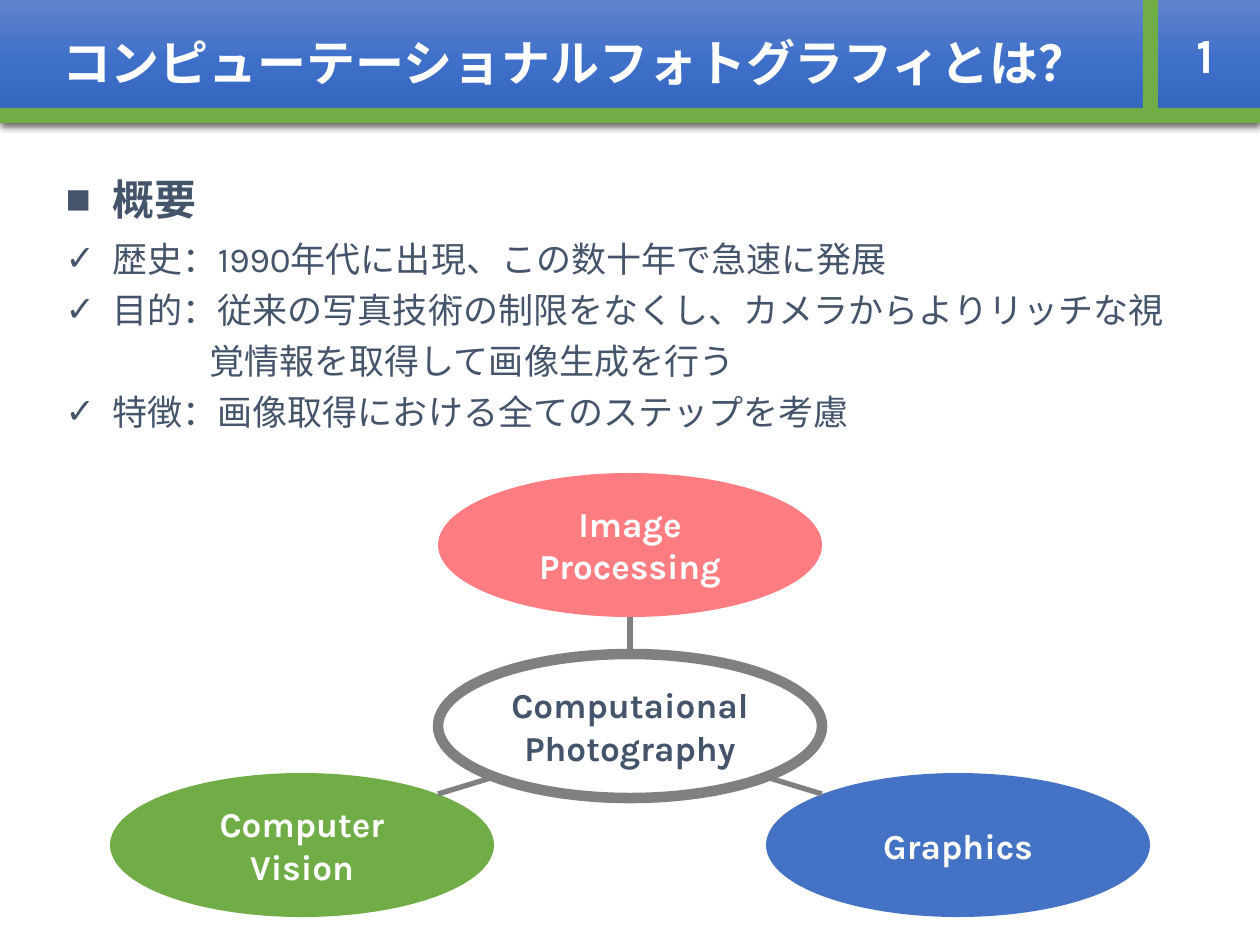
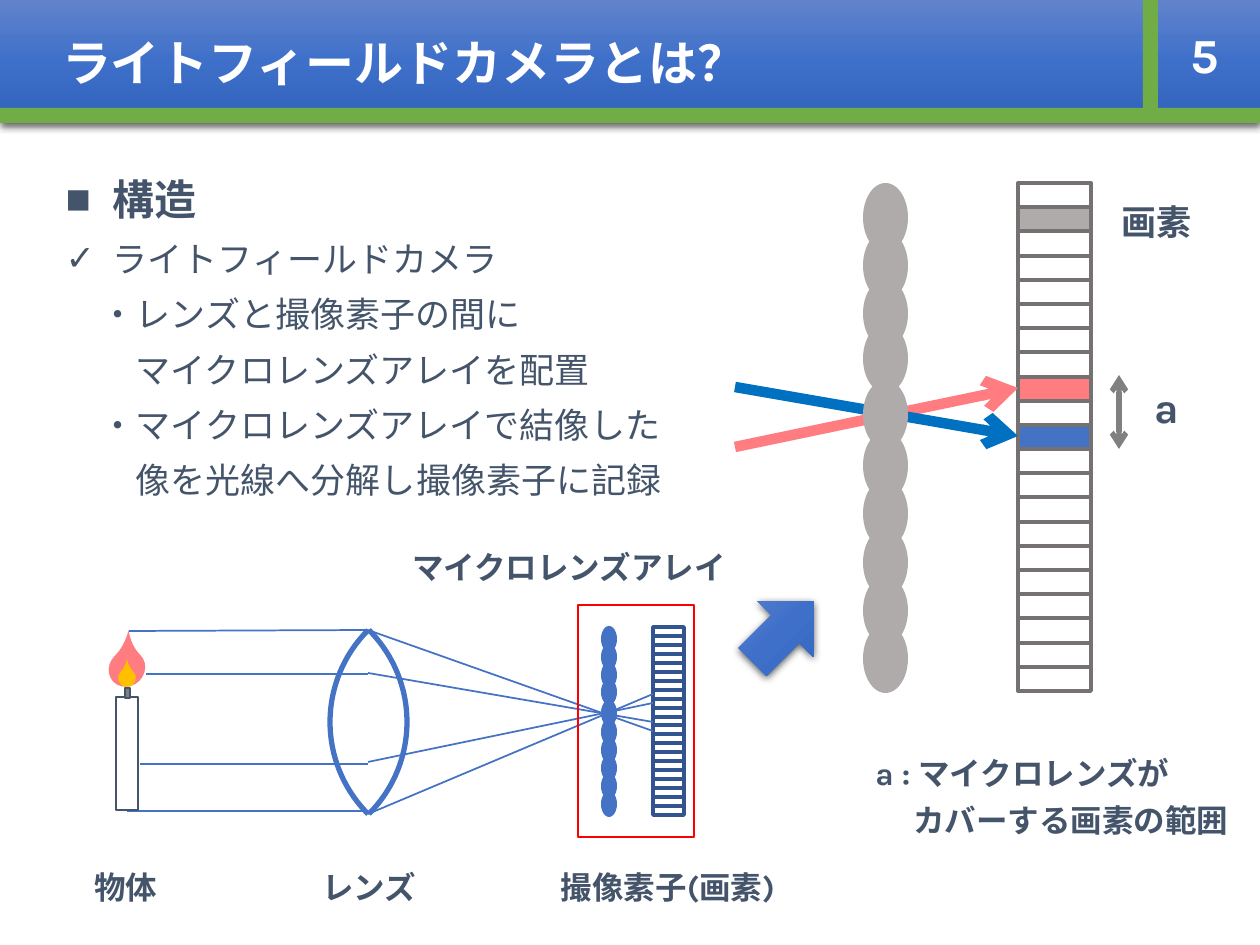
from dataclasses import dataclass

from lxml import etree
from pptx import Presentation
from pptx.dml.color import RGBColor
from pptx.enum.shapes import MSO_CONNECTOR, MSO_SHAPE
from pptx.enum.text import MSO_ANCHOR, MSO_AUTO_SIZE, PP_ALIGN
from pptx.oxml.ns import qn
from pptx.util import Pt

RECTANGLE, ELLIPSE, ARC = MSO_SHAPE.RECTANGLE, MSO_SHAPE.OVAL, MSO_SHAPE.ARC
TEARDROP, RIGHT_ARROW = MSO_SHAPE.TEAR, MSO_SHAPE.RIGHT_ARROW
STRAIGHT = MSO_CONNECTOR.STRAIGHT
LEFT, CENTER = PP_ALIGN.LEFT, PP_ALIGN.CENTER
TOP, MIDDLE = MSO_ANCHOR.TOP, MSO_ANCHOR.MIDDLE
NO_AUTOFIT = MSO_AUTO_SIZE.NONE

EMU_PER_PX = 914400 / 126
SLIDE_WIDTH, SLIDE_HEIGHT = 1260, 945
BAND_HEIGHT, STRIPE = 123, 15
BULLET_INDENT = 47
CELL_COUNT = 21
LENS_OFFSETS = (0, 48, 96, 141, 197, 248, 296, 345, 393, 441)


@dataclass(frozen=True)
class Theme:
    font: str = "Karla"
    white: str = "FFFFFF"
    text: str = "44546A"
    blue: str = "4472C4"
    dark_blue: str = "325491"
    ray_blue: str = "0070C0"
    green: str = "70AD47"
    coral: str = "FF7C80"
    amber: str = "FFC000"
    red: str = "FF0000"
    grey: str = "808080"
    lens_grey: str = "AFABAB"
    cell_grey: str = "767171"
    gradient: tuple = ((0, "6183CB"), (50, "3E70CA"), (100, "3062BB"))
    title_size: int = 28
    heading_size: int = 24
    body_size: int = 20
    label_size: int = 18


def px(length):
    return round(length * EMU_PER_PX)


def assign(target, values):
    for name, value in values.items():
        setattr(target, name, value)


class Deck:
    def __init__(self, theme):
        self.theme = theme
        self.presentation = Presentation()
        assign(self.presentation, {
            "slide_width": px(SLIDE_WIDTH), "slide_height": px(SLIDE_HEIGHT)})
        self.slide = None

    def place(self, shape, box):
        assign(shape, dict(zip(("left", "top", "width", "height"), map(px, box))))

    def frame(self, shape, anchor):
        assign(shape.text_frame, {
            "word_wrap": True, "auto_size": NO_AUTOFIT, "vertical_anchor": anchor})
        return shape.text_frame

    def add_lines(self, frame, lines, size, color, bold=True, align=CENTER, **spacing):
        for index, line in enumerate(lines):
            paragraph = frame.paragraphs[0] if index == 0 else frame.add_paragraph()
            assign(paragraph, {"alignment": align, **spacing})
            self.add_run(paragraph, line, size, color, bold)

    def add_run(self, paragraph, text, size, color, bold):
        run = paragraph.add_run()
        run.text = text
        assign(run.font, {"name": self.theme.font, "size": Pt(size), "bold": bold})
        run.font.color.rgb = RGBColor.from_string(color)

    def indent(self, paragraph, margin, bullet=None):
        properties = paragraph._p.get_or_add_pPr()
        properties.set("marL", str(px(margin)))
        properties.set("indent", str(-px(margin) if bullet else 0))
        if bullet:
            etree.SubElement(properties, qn("a:buChar")).set("char", bullet)
        else:
            etree.SubElement(properties, qn("a:buNone"))

    def glossy(self, shape):
        shape.fill.gradient()
        shape.fill.gradient_angle = 270
        properties = shape._element.spPr
        stops = properties.find(qn("a:gradFill")).find(qn("a:gsLst"))
        for stop in list(stops):
            stops.remove(stop)
        for position, color in self.theme.gradient:
            stop = etree.SubElement(stops, qn("a:gs"), pos=str(position * 1000))
            etree.SubElement(stop, qn("a:srgbClr"), val=color)
        shape.shadow.inherit = False
        shadow = etree.SubElement(
            properties.find(qn("a:effectLst")), qn("a:outerShdw"),
            blurRad=str(Pt(4.5)), dist=str(Pt(1.5)), dir="5400000", rotWithShape="0")
        shade = etree.SubElement(shadow, qn("a:srgbClr"), val="000000")
        etree.SubElement(shade, qn("a:alpha"), val="63000")

    def shape(self, kind, box, fill=None, line=None, width=1, rotation=0):
        shape = self.slide.shapes.add_shape(kind, *map(px, box))
        shape.rotation = rotation
        shape.shadow.inherit = False
        if fill:
            shape.fill.solid()
            shape.fill.fore_color.rgb = RGBColor.from_string(fill)
        else:
            shape.fill.background()
        if line:
            shape.line.color.rgb = RGBColor.from_string(line)
            shape.line.width = Pt(width)
        else:
            shape.line.fill.background()
        return shape

    def bubble(self, box, lines, color, **style):
        frame = self.frame(self.shape(ELLIPSE, box, **style), MIDDLE)
        self.add_lines(frame, lines, self.theme.body_size, color)

    def line(self, start, end, color, width=1, arrows=()):
        connector = self.slide.shapes.add_connector(STRAIGHT, *map(px, start + end))
        connector.line.color.rgb = RGBColor.from_string(color)
        connector.line.width = Pt(width)
        properties = connector._element.spPr
        for arrow in arrows:
            etree.SubElement(properties.find(qn("a:ln")), qn(f"a:{arrow}"), type="arrow")
        etree.SubElement(properties, qn("a:effectLst"))

    def label(self, box, lines, size=None, align=CENTER):
        frame = self.frame(self.slide.shapes.add_textbox(*map(px, box)), TOP)
        self.add_lines(frame, lines, size or self.theme.label_size, self.theme.text,
                       align=align, line_spacing=0.9, space_before=Pt(7.5))
        return frame

    def start_slide(self, title, number):
        theme = self.theme
        layout = self.presentation.slide_layouts[1]
        self.slide = self.presentation.slides.add_slide(layout)
        banner = self.slide.shapes.title
        self.place(banner, (0, 0, SLIDE_WIDTH, BAND_HEIGHT))
        self.glossy(banner)
        frame = self.frame(banner, MIDDLE)
        frame.margin_left = px(62)
        self.add_lines(frame, [title], theme.title_size, theme.white, align=LEFT)
        self.shape(RECTANGLE, (0, BAND_HEIGHT - STRIPE, SLIDE_WIDTH, STRIPE), theme.green)
        self.shape(RECTANGLE, (1143, 0, STRIPE, BAND_HEIGHT), theme.green)
        page = self.slide.shapes.add_textbox(
            *map(px, (1150, 0, 110, BAND_HEIGHT - STRIPE)))
        self.add_lines(self.frame(page, MIDDLE), [number], theme.title_size, theme.white)

    def body(self, height, heading, items):
        theme = self.theme
        body = self.slide.placeholders[1]
        self.place(body, (53, 173, 1153, height))
        frame = self.frame(body, TOP)
        self.add_lines(frame, [heading], theme.heading_size, theme.text, align=LEFT,
                       line_spacing=0.9, space_before=Pt(7.5))
        self.indent(frame.paragraphs[0], BULLET_INDENT, "■")
        for text, margin, bullet, spacing in items:
            paragraph = frame.add_paragraph()
            assign(paragraph, {
                "alignment": LEFT, "line_spacing": spacing, "space_before": Pt(7.5)})
            self.add_run(paragraph, text, theme.body_size, theme.text, False)
            self.indent(paragraph, margin, bullet)

    def sensor(self, left, top, width, height, line, fills):
        edges = [top + round(height * index / CELL_COUNT) for index in range(CELL_COUNT + 1)]
        for index, (upper, lower) in enumerate(zip(edges, edges[1:])):
            self.shape(RECTANGLE, (left, upper, width, lower - upper),
                       fills.get(index), line, 2.25)

    def lens_array(self, left, top, width, height, scale, color):
        for offset in LENS_OFFSETS:
            self.shape(ELLIPSE, (left, top + round(offset * scale), width, height), color)


def build_overview(deck):
    theme = deck.theme
    deck.start_slide("コンピューテーショナルフォトグラフィとは？", "1")
    deck.body(339, "概要", [
        ("歴史：1990年代に出現、この数十年で急速に発展", BULLET_INDENT, "✓", 1.0),
        ("目的：従来の写真技術の制限をなくし、カメラからよりリッチな視",
         BULLET_INDENT, "✓", 0.9),
        ("覚情報を取得して画像生成を行う", 144, None, 0.9),
        ("特徴：画像取得における全てのステップを考慮", BULLET_INDENT, "✓", 0.9),
    ])
    size = (384, 144)
    deck.bubble((438, 473) + size, ["Image Processing"], theme.white, fill=theme.coral)
    deck.bubble((438, 654) + size, ["Computaional", "Photography"], theme.text,
                line=theme.grey, width=6)
    deck.bubble((766, 773) + size, ["Graphics"], theme.white, fill=theme.blue)
    deck.bubble((110, 773) + size, ["Computer Vision"], theme.white, fill=theme.green)
    for start, end in (((630, 617), (630, 654)), ((438, 794), (494, 777)),
                       ((766, 777), (822, 794))):
        deck.line(start, end, theme.grey, 3)


def draw_camera(deck):
    theme = deck.theme
    lens_x, sensor_x = 368, 653
    for lens_y, source in ((764, (140, 764)), (811, (127, 811)),
                           (630, (129, 631)), (674, (146, 674))):
        deck.line((lens_x, lens_y), source, theme.blue)
    for left, rotation in ((147, 45), (330, 225)):
        deck.shape(ARC, (left, 592, 260, 260), None, theme.blue, 3, rotation)
    deck.sensor(sensor_x, 627, 31, 188, theme.dark_blue, {})
    for lens_y, sensor_y in ((630, 731), (814, 694), (673, 722), (762, 703)):
        deck.line((lens_x, lens_y), (sensor_x, sensor_y), theme.blue)
    deck.shape(RECTANGLE, (116, 697, 22, 113), theme.white, theme.text)
    deck.shape(RECTANGLE, (125, 688, 5, 10), theme.grey, theme.text)
    for box, color in (((108, 651, 38, 35), theme.coral), ((118, 669, 18, 18), theme.amber)):
        flame = deck.shape(TEARDROP, box, color, rotation=315)
        flame.adjustments[0] = 1.48
    deck.lens_array(601, 626, 16, 26, 0.375, theme.blue)
    deck.shape(RECTANGLE, (578, 605, 116, 232), None, theme.red, 1.5)


def draw_enlargement(deck):
    theme = deck.theme
    sensor_x = 1018
    deck.sensor(sensor_x, 183, 73, 508, theme.cell_grey,
                {1: theme.lens_grey, 8: theme.coral, 10: theme.blue})
    for start_y, end_y, color in ((447, 388, theme.coral), (387, 436, theme.ray_blue)):
        deck.line((735, start_y), (sensor_x, end_y), color, 6, ["tailEnd"])
    deck.lens_array(863, 183, 45, 69, 1, theme.lens_grey)
    deck.line((1119, 375), (1119, 449), theme.grey, 3, ["headEnd", "tailEnd"])
    deck.glossy(deck.shape(RIGHT_ARROW, (740, 592, 86, 79), rotation=315))


def build_structure(deck):
    theme = deck.theme
    deck.start_slide("ライトフィールドカメラとは？", "5")
    deck.body(772, "構造", [
        ("ライトフィールドカメラ", BULLET_INDENT, "✓", 1.0),
        ("・レンズと撮像素子の間に", 35, None, 1.0),
        ("マイクロレンズアレイを配置", 70, None, 1.0),
        ("・マイクロレンズアレイで結像した", 35, None, 1.0),
        ("像を光線へ分解し撮像素子に記録", 70, None, 1.0),
    ])
    draw_camera(deck)
    draw_enlargement(deck)
    for text, box, size in (
        ("物体", (53, 866, 145, 62), theme.label_size),
        ("レンズ", (168, 866, 402, 62), theme.label_size),
        ("撮像素子(画素)", (467, 866, 402, 62), theme.label_size),
        ("マイクロレンズアレイ", (368, 546, 402, 62), theme.label_size),
        ("画素", (1071, 199, 171, 69), theme.body_size),
        ("a", (1081, 381, 171, 69), theme.heading_size),
    ):
        deck.label(box, [text], size)
    note = deck.label((863, 752, 397, 121), ["a : マイクロレンズが", "カバーする画素の範囲"],
                      align=LEFT)
    deck.indent(note.paragraphs[1], 38)


def main():
    deck = Deck(Theme())
    build_overview(deck)
    build_structure(deck)
    deck.presentation.save("out.pptx")


if __name__ == "__main__":
    main()
